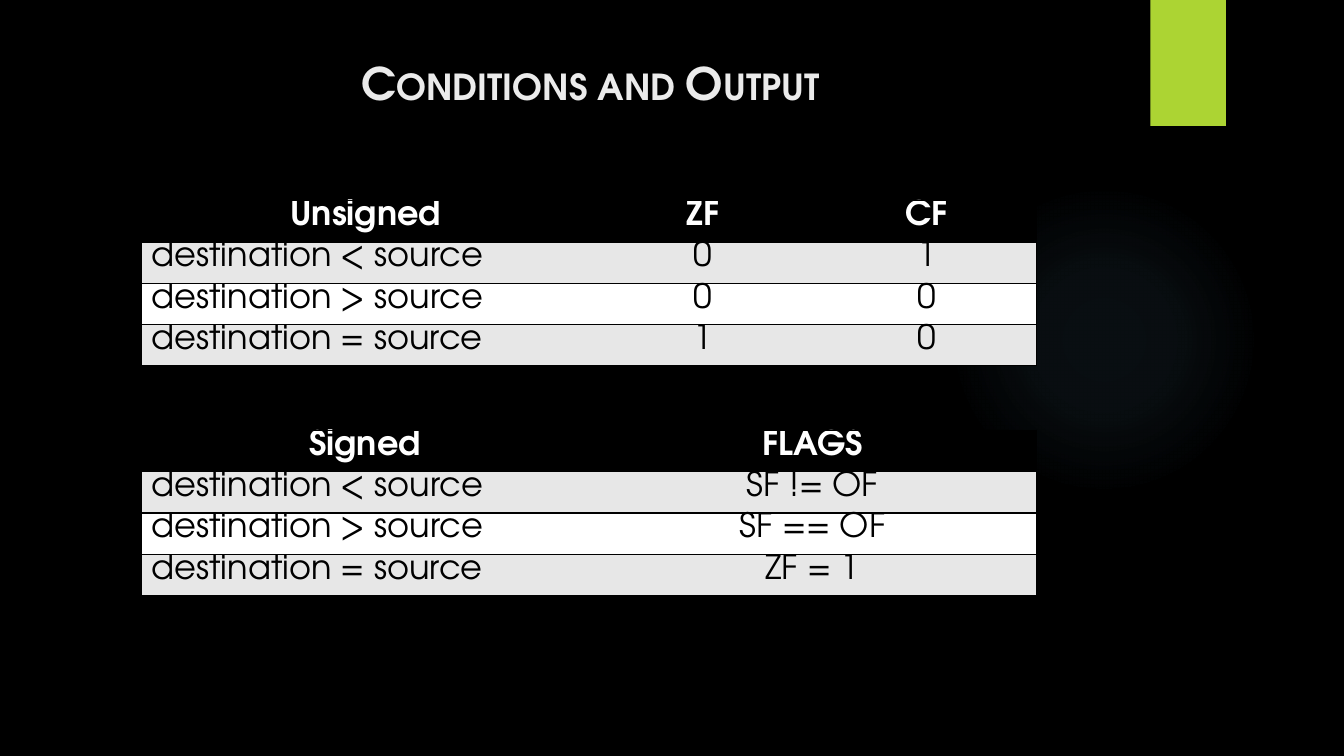
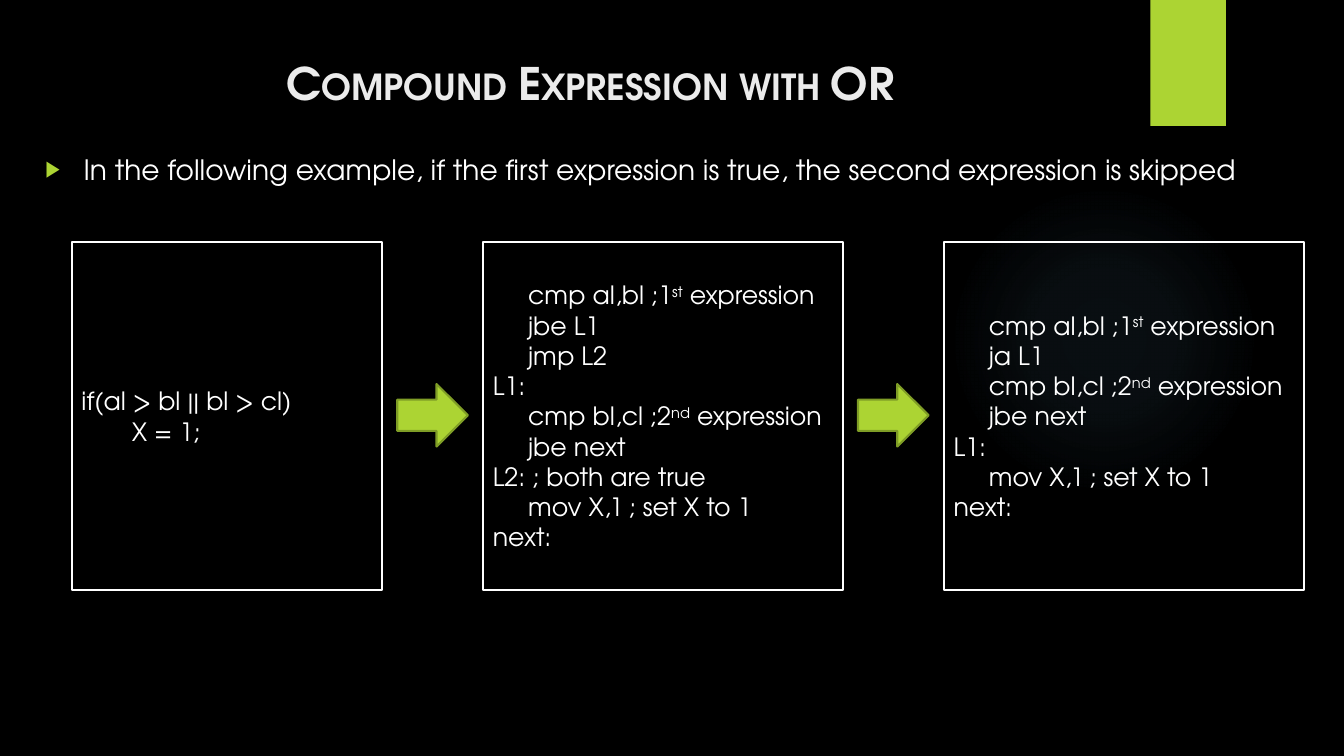
from lxml.etree import SubElement
from pptx import Presentation
from pptx.dml.color import RGBColor
from pptx.enum.shapes import MSO_SHAPE as Preset
from pptx.enum.text import MSO_ANCHOR as Anchor, MSO_AUTO_SIZE as AutoSize, PP_ALIGN as Align
from pptx.oxml import parse_xml
from pptx.oxml.ns import nsdecls, qn
from pptx.util import Pt

PX = 9144
COLORS = {
    "black": "000000",
    "white": "FFFFFF",
    "title": "EBEBEB",
    "band": "E7E7E7",
    "accent": "ACD433",
    "accent_edge": "7F9D26",
    "glow": "7AC4F0",
}
FONT = "TeX Gyre Adventor"
NO_STYLE = "{2D5ABB26-0587-4C30-8999-92F81FD0307C}"
GLOW_STOPS = [(0, 7), (36, 6), (69, 0)]

TITLE_BOX = (71, 50, 1029, 88)
BODY_BOX = (35, 146, 1221, 555)
TABLE_LEFT, ROW_HEIGHT = 140, 41
FLOW_LEFT, FLOW_TOP, FLOW_HEIGHT, FLOW_GAP = 71, 240, 345, 15
ARROW_WIDTH, ARROW_HEIGHT = 70, 62
CODE_INDENT, IF_INDENT, COMMENT_TAB = 35, 50, 157

CONDITIONS = ["destination < source", "destination > source", "destination = source"]
UNSIGNED = [["Unsigned", "ZF", "CF"]] + [
    [condition, *flags] for condition, flags in zip(CONDITIONS, ["01", "00", "10"])
]
SIGNED = [["Signed", "FLAGS"]] + [
    [condition, flags] for condition, flags in zip(CONDITIONS, ["SF != OF", "SF == OF", "ZF = 1"])
]

# Each code line is (indent, text); text between carets is superscript.
FIRST_TEST = (CODE_INDENT, "cmp al,bl ;1^st^ expression")
SECOND_TEST = (CODE_INDENT, "cmp bl,cl ;2^nd^ expression")
SKIP = (CODE_INDENT, "jbe next")
SET_X = (CODE_INDENT, "mov X,1\t; set X to 1")
NEXT = (0, "next:")
CODE_STEPS = [
    (308, [(0, "if(al > bl || bl > cl)"), (IF_INDENT, "X = 1;")]),
    (357, [FIRST_TEST, (CODE_INDENT, "jbe L1"), (CODE_INDENT, "jmp L2"), (0, "L1:"),
           SECOND_TEST, SKIP, (0, "L2: ; both are true"), SET_X, NEXT]),
    (357, [FIRST_TEST, (CODE_INDENT, "ja L1"), SECOND_TEST, SKIP, (0, "L1:"), SET_X, NEXT]),
]


def rgb(name):
    return RGBColor.from_string(COLORS[name])


def set_all(target, **values):
    for name, value in values.items():
        setattr(target, name, value)


def place(shape, box):
    for side, length in zip(("left", "top", "width", "height"), box):
        setattr(shape, side, length * PX)


def add_run(paragraph, text, size, color="white", bold=False):
    run = paragraph.add_run()
    run.text = text
    set_all(run.font, name=FONT, size=Pt(size), bold=bold)
    run.font.color.rgb = rgb(color)
    return run


def add_shape(slide, preset, box, fill=None, line=None):
    shape = slide.shapes.add_shape(preset, *(length * PX for length in box))
    shape.shadow.inherit = False
    if fill:
        shape.fill.solid()
        shape.fill.fore_color.rgb = rgb(fill)
    else:
        shape.fill.background()
    if line:
        shape.line.color.rgb = rgb(line)
        shape.line.width = Pt(1.5)
    else:
        shape.line.fill.background()
    return shape


def fill_with_glow(shape):
    """Replace the fill by a radial gradient that fades out."""
    stops = "".join(
        f'<a:gs pos="{position * 1000}"><a:srgbClr val="{COLORS["glow"]}">'
        f'<a:alpha val="{alpha * 1000}"/></a:srgbClr></a:gs>'
        for position, alpha in GLOW_STOPS
    )
    gradient = parse_xml(
        f'<a:gradFill {nsdecls("a")}><a:gsLst>{stops}</a:gsLst><a:path path="circle">'
        '<a:fillToRect l="50000" t="50000" r="50000" b="50000"/></a:path></a:gradFill>'
    )
    no_fill = shape.element.spPr.find(qn("a:noFill"))
    no_fill.getparent().replace(no_fill, gradient)


def decorate_master(master, slide):
    """Draw the shared decoration on a slide and move it to the master."""
    master.background.fill.solid()
    master.background.fill.fore_color.rgb = rgb("black")
    glow = add_shape(slide, Preset.OVAL, (941, 183, 308, 308))
    fill_with_glow(glow)
    tab = add_shape(slide, Preset.RECTANGLE, (1141, 0, 75, 125), "accent")
    for index, shape in enumerate((glow, tab), start=2):
        master.shapes.element.insert(index, shape.element)


def set_title(slide, text):
    title = slide.shapes.title
    place(title, TITLE_BOX)
    set_all(title.text_frame, vertical_anchor=Anchor.TOP, auto_size=AutoSize.NONE, word_wrap=True)
    paragraph = title.text_frame.paragraphs[0]
    paragraph.alignment = Align.CENTER
    run = add_run(paragraph, text, 32, "title", bold=True)
    run.font._element.set("cap", "small")


def set_bullet(slide, text):
    body = slide.placeholders[1]
    place(body, BODY_BOX)
    set_all(body.text_frame, vertical_anchor=Anchor.TOP, auto_size=AutoSize.NONE, word_wrap=True)
    paragraph = body.text_frame.paragraphs[0]
    set_all(paragraph, alignment=Align.JUSTIFY, space_before=Pt(10))
    add_run(paragraph, text, 20)
    properties = paragraph._p.get_or_add_pPr()
    set_indent(properties, 38, -38)
    color = SubElement(properties, qn("a:buClr"))
    SubElement(color, qn("a:srgbClr"), val=COLORS["accent"])
    SubElement(properties, qn("a:buSzPct"), val="80000")
    SubElement(properties, qn("a:buChar"), char="▶")


def set_indent(properties, margin, first=0):
    properties.set("marL", str(margin * PX))
    properties.set("indent", str(first * PX))


def set_borders(cell, sides):
    """Give the named sides a black line; borders must precede the fill."""
    properties = cell._tc.get_or_add_tcPr()
    for index, side in enumerate(sides):
        properties.insert(index, parse_xml(
            f'<a:ln{side} {nsdecls("a")} w="12700"><a:solidFill>'
            f'<a:srgbClr val="{COLORS["black"]}"/></a:solidFill></a:ln{side}>'
        ))


def add_flag_table(slide, top, widths, rows):
    frame = slide.shapes.add_table(
        len(rows), len(widths), TABLE_LEFT * PX, top * PX,
        sum(widths) * PX, len(rows) * ROW_HEIGHT * PX,
    )
    next(frame.element.iter(qn("a:tableStyleId"))).text = NO_STYLE
    table = frame.table
    for column, width in zip(table.columns, widths):
        column.width = width * PX
    for r, texts in enumerate(rows):
        is_header = r == 0
        fill = "black" if is_header else "band" if r % 2 else "white"
        for c, text in enumerate(texts):
            cell = table.cell(r, c)
            set_all(cell, margin_top=0, margin_bottom=0)
            cell.fill.solid()
            cell.fill.fore_color.rgb = rgb(fill)
            left = ["L"] if c == 0 else []
            right = ["R"] if c == len(widths) - 1 else []
            set_borders(cell, left + right + ["T", "B"])
            paragraph = cell.text_frame.paragraphs[0]
            paragraph.alignment = Align.CENTER if is_header or c else Align.LEFT
            add_run(paragraph, text, 24, "white" if is_header else "black", is_header)


def add_code_line(paragraph, indent, text):
    paragraph.alignment = Align.LEFT
    properties = paragraph._p.get_or_add_pPr()
    set_indent(properties, indent)
    if "\t" in text:
        tabs = SubElement(properties, qn("a:tabLst"))
        SubElement(tabs, qn("a:tab"), pos=str(COMMENT_TAB * PX), algn="l")
    for index, part in enumerate(text.split("^")):
        run = add_run(paragraph, part, 18)
        if index % 2:
            run.font._element.set("baseline", "30000")


def add_code_box(slide, left, width, lines):
    box = add_shape(slide, Preset.RECTANGLE, (left, FLOW_TOP, width, FLOW_HEIGHT), line="white")
    frame = box.text_frame
    set_all(frame, vertical_anchor=Anchor.MIDDLE, word_wrap=True)
    for index, (indent, text) in enumerate(lines):
        paragraph = frame.add_paragraph() if index else frame.paragraphs[0]
        add_code_line(paragraph, indent, text)


def add_code_flow(slide):
    """Lay out the code boxes from left to right with an arrow between each two."""
    left = FLOW_LEFT
    arrow_top = FLOW_TOP + (FLOW_HEIGHT - ARROW_HEIGHT) // 2
    for index, (width, lines) in enumerate(CODE_STEPS):
        if index:
            add_shape(slide, Preset.RIGHT_ARROW, (left, arrow_top, ARROW_WIDTH, ARROW_HEIGHT),
                      "accent", "accent_edge")
            left += ARROW_WIDTH + FLOW_GAP
        add_code_box(slide, left, width, lines)
        left += width + FLOW_GAP


def main():
    deck = Presentation()
    set_all(deck, slide_width=1333 * PX, slide_height=750 * PX)
    title_and_content, title_only = deck.slide_layouts[1], deck.slide_layouts[5]

    conditions = deck.slides.add_slide(title_only)
    decorate_master(deck.slide_master, conditions)
    set_title(conditions, "Conditions and Output")
    add_flag_table(conditions, 199, [445, 225, 218], UNSIGNED)
    add_flag_table(conditions, 427, [444, 444], SIGNED)

    compound = deck.slides.add_slide(title_and_content)
    set_title(compound, "Compound Expression with OR")
    set_bullet(compound, "In the following example, if the first expression is true, "
                         "the second expression is skipped")
    add_code_flow(compound)

    deck.save("out.pptx")


if __name__ == "__main__":
    main()
